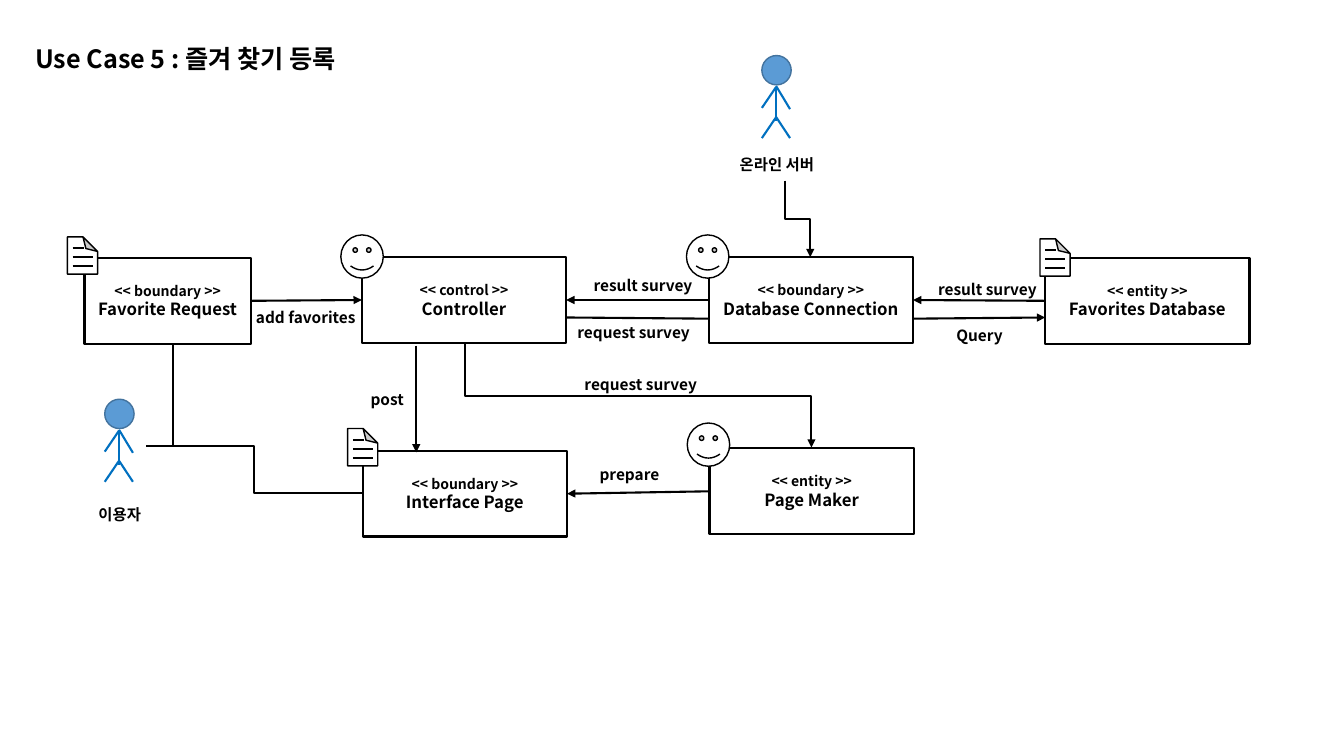
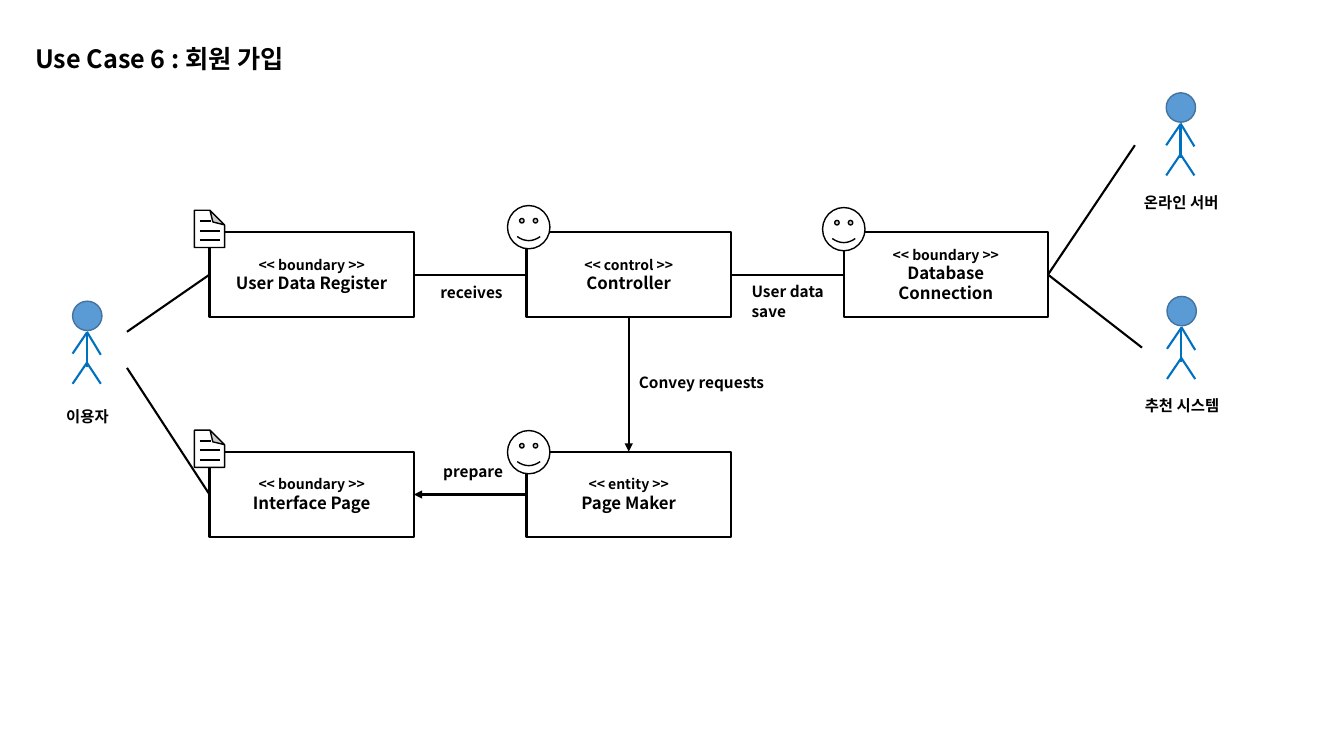
from collections import namedtuple

from lxml import etree
from pptx import Presentation
from pptx.dml.color import RGBColor
from pptx.enum.shapes import MSO_CONNECTOR, MSO_SHAPE
from pptx.enum.text import MSO_ANCHOR, PP_ALIGN
from pptx.oxml.ns import qn
from pptx.util import Cm, Pt

# Shared style
BLACK = RGBColor(0x00, 0x00, 0x00)
WHITE = RGBColor(0xFF, 0xFF, 0xFF)
BLUE = RGBColor(0x5B, 0x9B, 0xD5)
RIM = RGBColor(0x43, 0x73, 0x9E)
LIMB = RGBColor(0x00, 0x70, 0xC0)
FONT = "Noto Sans CJK KR"

RECT = MSO_SHAPE.RECTANGLE
OVAL = MSO_SHAPE.OVAL
SMILE = MSO_SHAPE.SMILEY_FACE
SHEET = MSO_SHAPE.FOLDED_CORNER
LINE = MSO_CONNECTOR.STRAIGHT
ELBOW = MSO_CONNECTOR.ELBOW
MID = MSO_ANCHOR.MIDDLE
TOP = MSO_ANCHOR.TOP
CENTER = PP_ALIGN.CENTER
LEFT = PP_ALIGN.LEFT
EVEN = PP_ALIGN.JUSTIFY

BOX_W, BOX_H = 5.15, 2.16
# Side numbers of a rectangle
UP, WEST, DOWN, EAST = range(4)
Pin = namedtuple("Pin", "box side")

# Arms, trunk and legs, measured from the corner of the head
LIMBS = [
    (0.36, 0.79, 0.36, 1.65),
    (0.36, 0.79, 0, 1.32),
    (0.36, 0.77, 0.71, 1.35),
    (0.36, 1.55, 0, 2.08),
    (0.36, 1.55, 0.71, 2.08),
]


# Text
def write(frame, lines, align, space=None):
    """Fill a frame with (text, size) lines, one paragraph each."""
    frame.word_wrap = True
    for i, (text, size) in enumerate(lines):
        para = frame.paragraphs[0] if i == 0 else frame.add_paragraph()
        para.alignment = align
        if space:
            para.line_spacing = space
        run = para.add_run()
        run.text = text
        font = run.font
        font.size = Pt(size)
        font.bold = True
        font.color.rgb = BLACK
        font.name = FONT
        etree.SubElement(run._r.get_or_add_rPr(), qn("a:ea"), typeface=FONT)


def label(slide, x, y, width, *texts):
    area = slide.shapes.add_textbox(Cm(x), Cm(y), Cm(width), Cm(0.96))
    write(area.text_frame, [(text, 11) for text in texts], EVEN, 1.07)


def title(slide, text):
    area = slide.shapes.add_textbox(Cm(0.64), Cm(0.97), Cm(8.86), Cm(1.02))
    write(area.text_frame, [(text, 18)], LEFT)


# Shapes and lines
def shape(shapes, kind, x, y, w, h, fill=WHITE, edge=BLACK, width=1):
    item = shapes.add_shape(kind, Cm(x), Cm(y), Cm(w), Cm(h))
    item.shadow.inherit = False
    item.fill.solid()
    item.fill.fore_color.rgb = fill
    if edge is None:
        item.line.fill.background()
    else:
        item.line.color.rgb = edge
        item.line.width = Pt(width)
    return item


def wire(shapes, kind, x1, y1, x2, y2, color=BLACK, arrow=False):
    item = shapes.add_connector(kind, Cm(x1), Cm(y1), Cm(x2), Cm(y2))
    item.line.color.rgb = color
    item.line.width = Pt(1.5)
    props = item._element.spPr
    if arrow:
        etree.SubElement(props.find(qn("a:ln")), qn("a:tailEnd"),
                         type="triangle")
    etree.SubElement(props, qn("a:effectLst"))
    return item


def link(slide, start, end, arrow=False):
    """Straight line; each end is a Pin on a box or an (x, y) point."""
    x1, y1 = (0, 0) if isinstance(start, Pin) else start
    x2, y2 = (0, 0) if isinstance(end, Pin) else end
    item = wire(slide.shapes, LINE, x1, y1, x2, y2, arrow=arrow)
    if isinstance(start, Pin):
        item.begin_connect(*start)
    if isinstance(end, Pin):
        item.end_connect(*end)


def step(slide, x1, y1, x2, y2):
    """Arrow that goes down, right and down again."""
    wide, tall = x2 - x1, y2 - y1
    x, y = (x1 + x2 - tall) / 2, (y1 + y2 - wide) / 2
    item = wire(slide.shapes, ELBOW, x + tall, y, x, y + wide, arrow=True)
    item.rotation = 270


# Icons
def page(slide, x, y):
    parts = slide.shapes.add_group_shape().shapes
    sheet = shape(parts, SHEET, x, y, 0.76, 0.94)
    props = sheet._element.spPr
    props.find(qn("a:xfrm")).set("flipV", "1")
    guides = props.find(qn("a:prstGeom")).find(qn("a:avLst"))
    etree.SubElement(guides, qn("a:gd"), name="adj", fmla="val 48400")
    for row, right in enumerate((0.41, 0.64, 0.64)):
        level = y + 0.28 + 0.23 * row
        wire(parts, LINE, x + 0.13, level, x + right, level)


def face(slide, x, y):
    shape(slide.shapes, SMILE, x, y, 1.07, 1.09)


# Class box with its icon, and actor
def card(slide, x, y, kind, names, icon, shift, width=BOX_W):
    box = shape(slide.shapes, RECT, x, y, width, BOX_H, width=1.5)
    box.text_frame.vertical_anchor = MID
    lines = [(f"<< {kind} >>", 10)] + [(name, 12) for name in names]
    write(box.text_frame, lines, CENTER)
    icon(slide, x + shift[0], y + shift[1])
    return box


def actor(slide, x, y, name, shift=(-0.81, 2.36), width=2.62):
    parts = slide.shapes.add_group_shape().shapes
    tag = shape(parts, RECT, x + shift[0], y + shift[1], width, 1.02,
                edge=None)
    tag.text_frame.vertical_anchor = TOP
    write(tag.text_frame, [(name, 11)], EVEN, 1.07)
    shape(parts, OVAL, x, y, 0.74, 0.74, BLUE, RIM)
    for x1, y1, x2, y2 in LIMBS:
        wire(parts, LINE, x + x1, y + y1, x + x2, y + y2, LIMB)


def user(slide, x, y):
    actor(slide, x, y, "이용자", (-0.41, 2.51), 2.31)


# Slides
def favor(slide):
    title(slide, "Use Case 5 : 즐겨 찾기 등록")

    ctrl = card(slide, 9.12, 6.48, "control", ["Controller"],
                face, (-0.53, -0.56))
    view = card(slide, 9.14, 11.36, "boundary", ["Interface Page"],
                page, (-0.38, -0.56))
    maker = card(slide, 17.88, 11.3, "entity", ["Page Maker"],
                 face, (-0.56, -0.64))
    base = card(slide, 17.86, 6.48, "boundary", ["Database Connection"],
                face, (-0.56, -0.56))
    store = card(slide, 26.34, 6.5, "entity", ["Favorites Database"],
                 page, (-0.13, -0.48))
    ask = card(slide, 2.13, 6.5, "boundary", ["Favorite Request"],
               page, (-0.43, -0.53), 4.19)

    user(slide, 2.64, 10.06)
    actor(slide, 19.2, 1.4, "온라인 서버")

    # Links
    link(slide, Pin(ask, EAST), Pin(ctrl, WEST), True)
    link(slide, Pin(base, WEST), Pin(ctrl, EAST), True)
    link(slide, Pin(store, WEST), Pin(base, EAST), True)
    link(slide, Pin(maker, WEST), Pin(view, EAST), True)
    link(slide, (17.86, 8.03), (14.27, 8))
    link(slide, (23.01, 8.03), (26.34, 8), True)
    link(slide, (10.49, 8.71), (10.49, 11.4), True)
    link(slide, (4.37, 8.66), (4.37, 11.25))
    wire(slide.shapes, ELBOW, 9.14, 12.43, 3.68, 11.23)
    step(slide, 11.71, 8.66, 20.45, 11.28)
    step(slide, 19.79, 4.55, 20.42, 6.48)

    # Labels
    label(slide, 6.2, 7.62, 3.2, "add favorites")
    label(slide, 14.71, 6.81, 3.2, "result survey")
    label(slide, 14.3, 7.98, 3.4, "request survey")
    label(slide, 23.85, 8.05, 1.75, "Query")
    label(slide, 23.39, 6.91, 3.2, "result survey")
    label(slide, 14.86, 11.56, 2.16, "prepare")
    label(slide, 14.48, 9.3, 3.4, "request survey")
    label(slide, 9.09, 9.68, 2.16, "post")


def join(slide):
    title(slide, "Use Case 6 : 회원 가입")

    cols = [5.28 + 7.99 * i for i in range(3)]
    high, low = 5.84, 11.38
    view = card(slide, cols[0], low, "boundary", ["Interface Page"],
                page, (-0.38, -0.54))
    form = card(slide, cols[0], high, "boundary", ["User Data Register"],
                page, (-0.38, -0.54))
    ctrl = card(slide, cols[1], high, "control", ["Controller"],
                face, (-0.48, -0.66))
    maker = card(slide, cols[1], low, "entity", ["Page Maker"],
                 face, (-0.48, -0.53))
    base = card(slide, cols[2], high, "boundary", ["Database", "Connection"],
                face, (-0.53, -0.61))

    actor(slide, 29.39, 2.34, "온라인 서버")
    actor(slide, 29.41, 7.47, "추천 시스템")
    user(slide, 1.83, 7.59)

    # Links
    link(slide, Pin(form, WEST), (3.2, 8.36))
    link(slide, Pin(view, WEST), (3.2, 9.27))
    link(slide, Pin(maker, WEST), Pin(view, EAST), True)
    link(slide, Pin(ctrl, DOWN), Pin(maker, UP), True)
    link(slide, Pin(ctrl, WEST), Pin(form, EAST))
    link(slide, Pin(base, WEST), Pin(ctrl, EAST))
    link(slide, (28.6, 3.66), Pin(base, EAST))
    link(slide, (28.78, 8.76), Pin(base, EAST))

    # Labels
    label(slide, 10.92, 11.48, 2.16, "prepare")
    label(slide, 18.69, 6.96, 2.57, "User data", "save")
    label(slide, 15.85, 9.25, 3.91, "Convey requests")
    label(slide, 10.85, 6.98, 2.57, "receives")


def main():
    deck = Presentation()
    deck.slide_width, deck.slide_height = Cm(33.87), Cm(19.05)
    blank = deck.slide_layouts[6]
    for build in (favor, join):
        build(deck.slides.add_slide(blank))
    deck.save("out.pptx")


if __name__ == "__main__":
    main()
